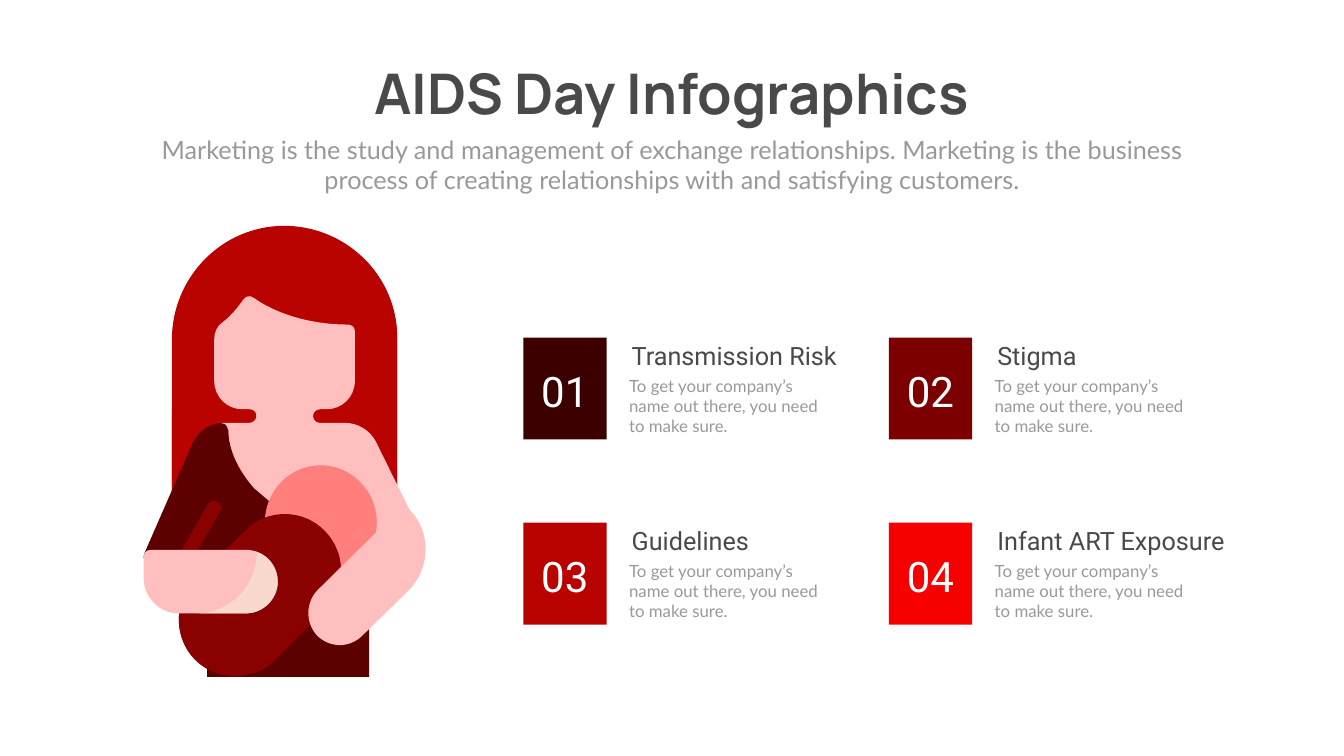
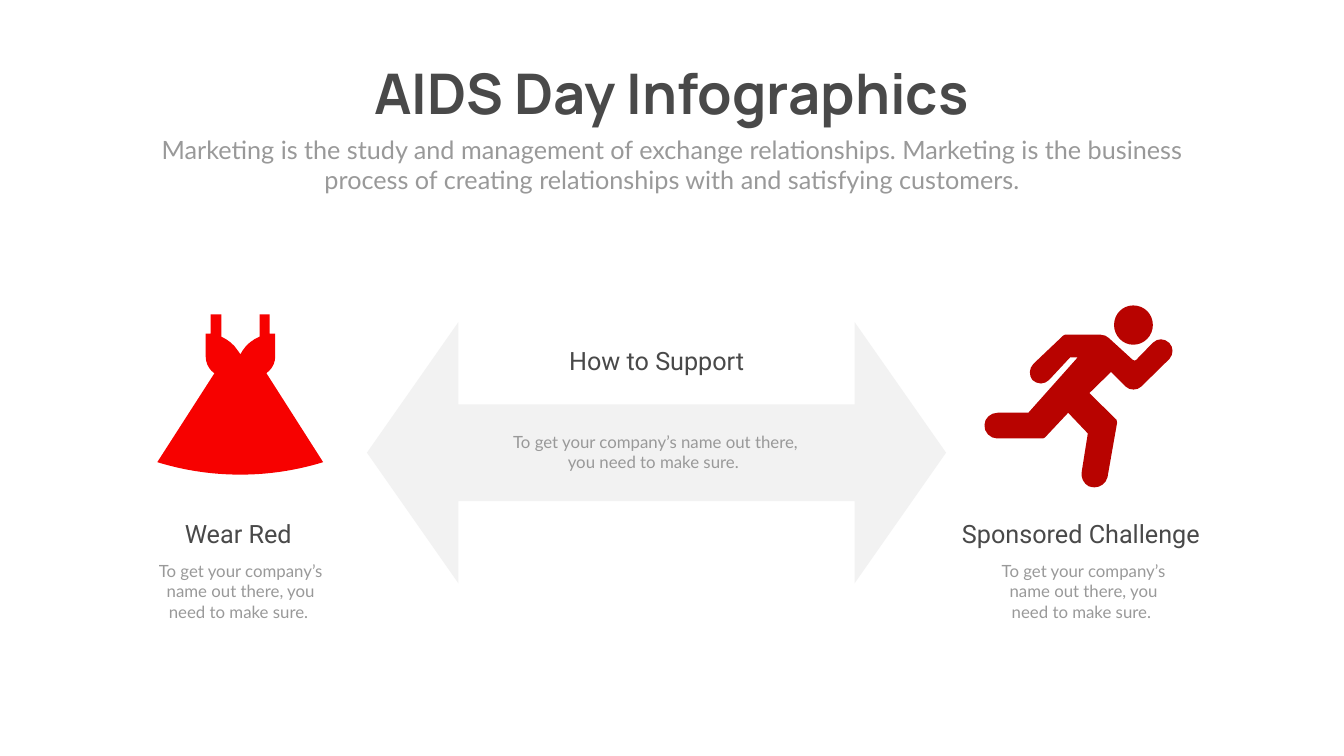
from dataclasses import dataclass
from typing import NamedTuple

from lxml import etree
from pptx import Presentation
from pptx import util as u
from pptx.dml import color
from pptx.enum import shapes, text
from pptx.oxml import ns

GRID = u.Cm(0.0254)  # one unit of the outline coordinates
BOUND_STEPS = 16  # samples per curve when measuring an outline


@dataclass(frozen=True)
class TextStyle:
    font: str
    size: int
    color: str
    bold: bool = False
    align: text.PP_ALIGN = text.PP_ALIGN.CENTER
    wrap: bool = True


@dataclass(frozen=True)
class Theme:
    dark: str = "494949"
    grey: str = "999999"
    white: str = "FFFFFF"
    pale: str = "F2F2F2"
    night: str = "3D0001"
    wine: str = "5C0100"
    maroon: str = "7C0000"
    garnet: str = "8A0200"
    crimson: str = "B80300"
    red: str = "F70100"
    coral: str = "FF7F7D"
    skin: str = "FFBFBE"
    cream: str = "F9D8CD"
    title: TextStyle = TextStyle("Manrope", 80, dark, bold=True, wrap=False)
    subtitle: TextStyle = TextStyle("Lato", 36, grey)
    heading: TextStyle = TextStyle("Roboto", 36, dark)
    body: TextStyle = TextStyle("Lato", 24, grey)
    left_heading: TextStyle = TextStyle("Roboto", 36, dark, align=text.PP_ALIGN.LEFT)
    left_body: TextStyle = TextStyle("Lato", 24, grey, align=text.PP_ALIGN.LEFT)
    number: TextStyle = TextStyle("Roboto", 60, white)


THEME = Theme()


class Box(NamedTuple):
    """Left, top, width and height in centimetres."""
    left: float
    top: float
    width: float
    height: float

    def lengths(self) -> list:
        return [u.Cm(value) for value in self]


class Part(NamedTuple):
    """A filled outline: segments split by ';', one point for a line, three for a curve."""
    fill: str
    outline: str


class Topic(NamedTuple):
    heading: str
    fill: str


class Label(NamedTuple):
    heading: str
    heading_box: Box
    body_box: Box


TITLE = "AIDS Day Infographics"
SUBTITLE = ("Marketing is the study and management of exchange relationships. Marketing is "
            "the business process of creating relationships with and satisfying customers.")
BODY = "To get your company’s name out there, you need to make sure."
CENTERED_BODY = BODY + " "

TOPICS = [
    Topic("Transmission Risk", THEME.night),
    Topic("Stigma", THEME.maroon),
    Topic("Guidelines", THEME.crimson),
    Topic("Infant ART Exposure", THEME.red),
]
TOPIC_COLUMNS = 2
TOPIC_LEFT, TOPIC_TOP = 26.37, 17.01
COLUMN_STEP, ROW_STEP = 18.42, 9.33

LABELS = [
    Label("Wear Red", Box(7.42, 25.98, 9.17, 1.8), Box(7.54, 28.15, 9.17, 3.33)),
    Label("Sponsored Challenge", Box(47.81, 25.98, 13.31, 1.8), Box(50.01, 28.15, 9.17, 3.33)),
    Label("How to Support", Box(26.97, 17.27, 12.24, 1.8), Box(25.48, 21.62, 15.09, 2.31)),
]

HAIR = Part(THEME.crimson, (
    "788,1007; 341,1007; 341,674; 341,551 439,449 563,448; 687,448 788,547 788,670; 788,672"))
HAIR_SHADE = Part(THEME.crimson, (
    "716,508; 717,518 718,529 718,539; 718,698 590,825 432,825; 400,825 370,821 341,811;"
    "341,1007; 788,1007; 788,672; 788,610 762,550 716,508"))
FACE_AND_CHEST = Part(THEME.skin, (
    "719,1183; 715,1183 712,1183 710,1180; 485,990; 485,990 485,989 484,989;"
    "483,986 425,929 425,854; 425,847 430,841 437,839; 440,839 442,839 445,839; 495,839;"
    "501,839 508,834 509,826; 509,818 504,812 496,812; 495,812; 480,812;"
    "450,812 425,787 425,756; 425,673; 425,660 430,647 442,639; 459,627 476,604 483,594;"
    "487,588 496,585 503,591; 504,591; 504,592 572,644 690,644; 698,644 704,650 704,657;"
    "704,756; 704,787 679,812 648,812; 635,812; 627,812 622,817 620,825;"
    "620,832 626,839 634,839; 635,839; 683,839; 711,839 734,854 746,877; 814,1015;"
    "817,1020 816,1027 812,1031; 732,1111; 732,1168; 732,1174 729,1179 725,1181;"
    "723,1183 721,1183 719,1183"))
DRESS_SIDE = Part(THEME.wine, (
    "732,1343; 411,1343; 411,1119; 299,1119; 295,1119 293,1119 290,1116;"
    "285,1112 284,1106 286,1099; 382,879; 383,879 383,879 383,877;"
    "394,856 413,842 437,839; 443,839 449,842 451,849; 453,850 453,853 453,854;"
    "453,914 500,964 504,969; 728,1159; 730,1162 732,1166 732,1170"))
BABY_HEAD = Part(THEME.coral, (
    "636,1151; 607,1151 578,1140 557,1117; 515,1073 515,1001 557,957;"
    "599,913 669,912 712,954; 713,955 713,956 715,957; 758,1001 758,1073 715,1117;"
    "695,1140 666,1151 636,1151"))
SLEEVE_FOLD = Part(THEME.garnet, (
    "369,1119; 361,1119 354,1113 354,1106; 354,1103 356,1100 357,1098; 412,1001;"
    "416,994 425,992 432,996; 438,999 441,1007 437,1014; 381,1112; 378,1116 374,1119 369,1119"))
BABY_HEAD_SHADE = Part(THEME.coral, (
    "721,964; 717,970 712,976 708,981; 661,1029 586,1035 534,994;"
    "518,1035 526,1084 557,1117; 599,1160 669,1162 712,1121; 713,1120 713,1118 715,1117;"
    "755,1075 758,1008 721,964"))
BLANKET = Part(THEME.garnet, (
    "467,1341; 437,1341 408,1330 387,1309; 344,1265 344,1195 387,1151; 487,1052;"
    "530,1009 601,1009 644,1053; 687,1096 687,1167 644,1210; 546,1309;"
    "525,1330 496,1341 467,1341"))
BLANKET_SHADE = Part(THEME.garnet, (
    "459,1231; 424,1231 388,1222 357,1206; 345,1268 383,1327 443,1339;"
    "480,1346 519,1336 546,1308; 644,1210; 674,1180 684,1134 670,1094;"
    "633,1177 551,1231 459,1231"))
RIGHT_ARM = Part(THEME.skin, (
    "674,1280; 658,1280 641,1273 629,1261; 606,1236 606,1197 629,1172; 792,1011;"
    "797,1006 806,1006 812,1011; 855,1054 855,1125 812,1170; 719,1261;"
    "707,1273 691,1280 674,1280"))
LEFT_ARM = Part(THEME.skin, (
    "488,1217; 354,1217; 316,1217 285,1185 285,1147; 285,1105; 285,1097 291,1091 299,1091;"
    "488,1091; 522,1091 551,1118 551,1154; 551,1189 522,1217 488,1217"))
CUFF = Part(THEME.cream, (
    "509,1095; 509,1096 509,1096 509,1098; 509,1163 455,1217 390,1217; 488,1217;"
    "522,1217 551,1188 551,1154; 551,1128 534,1103 509,1095"))
NECK = Part(THEME.skin, (
    "495,840; 635,840; 627,840 621,833 621,825; 621,817 627,812 635,812; 495,812;"
    "503,812 509,817 509,825; 509,833 503,840 495,840"))
MOTHER = [HAIR, HAIR_SHADE, FACE_AND_CHEST, DRESS_SIDE, BABY_HEAD, SLEEVE_FOLD,
          BABY_HEAD_SHADE, BLANKET, BLANKET_SHADE, RIGHT_ARM, LEFT_ARM, CUFF, NECK]

RUNNER_BODY = Part(THEME.crimson, (
    "2320,681; 2319,680; 2310,671 2296,671 2287,680; 2254,714; 2252,716 2250,716 2247,714;"
    "2200,671; 2196,667 2190,664 2183,664; 2113,664; 2112,664 2110,665 2109,666; 2050,722;"
    "2041,731 2041,745 2048,754; 2053,758 2058,761 2065,761; 2071,761 2077,758 2081,754;"
    "2123,709; 2138,709; 2040,819; 1979,819; 1965,819 1953,830 1953,843;"
    "1952,850 1955,857 1960,862; 1965,867 1971,870 1978,870; 2069,870;"
    "2070,870 2072,870 2073,868; 2119,819; 2158,860; 2146,935; 2143,947 2150,960 2160,965;"
    "2164,966 2168,967 2171,967; 2183,967 2194,959 2197,947; 2216,839;"
    "2217,837 2216,835 2215,833; 2161,780; 2204,738; 2233,767; 2241,775 2256,775 2264,767;"
    "2320,712; 2328,703 2328,689 2320,681"))
RUNNER_HEAD = Part(THEME.crimson, (
    "2248,684; 2270,684 2287,666 2287,645; 2287,623 2270,606 2248,606;"
    "2227,606 2210,623 2210,645; 2210,666 2227,684 2248,684"))
RUNNER = [RUNNER_BODY, RUNNER_HEAD]

BODICE = Part(THEME.red, (
    "535,662; 535,624; 515,624; 515,668; 501,674 489,683 481,696; 477,703; 472,696;"
    "464,683 452,674 439,668; 439,624; 418,624; 418,662; 415,662 412,662 408,662; 408,707;"
    "408,730 426,748 449,748; 504,748; 527,748 546,730 546,707; 546,662;"
    "542,662 538,662 535,662"))
SKIRT = Part(THEME.red, "525,735; 429,735; 312,917; 419,950 534,950 641,917")
RED_DRESS = [BODICE, SKIRT]


def paint(shape, fill: str) -> None:
    """Give the shape a flat fill with no line and no shadow."""
    shape.fill.solid()
    shape.fill.fore_color.rgb = color.RGBColor.from_string(fill)
    shape.line.fill.background()
    shape.shadow.inherit = False


def add_preset(slide, kind: shapes.MSO_SHAPE, box: Box, fill: str):
    shape = slide.shapes.add_shape(kind, *box.lengths())
    paint(shape, fill)
    return shape


def add_text(slide, content: str, box: Box, style: TextStyle):
    shape = slide.shapes.add_textbox(*box.lengths())
    frame = shape.text_frame
    frame.word_wrap = style.wrap
    frame.auto_size = text.MSO_AUTO_SIZE.SHAPE_TO_FIT_TEXT
    paragraph = frame.paragraphs[0]
    paragraph.text = content
    paragraph.alignment = style.align
    font = paragraph.font
    font.name = style.font
    font.size = u.Pt(style.size)
    font.bold = style.bold
    font.color.rgb = color.RGBColor.from_string(style.color)
    return shape


def read_segments(outline: str) -> list[list[tuple]]:
    return [[tuple(int(value) * GRID for value in pair.split(",")) for pair in segment.split()]
            for segment in outline.split(";")]


def sample(segments: list[list[tuple]]) -> list[tuple]:
    """Points along the outline, close enough to give its true bounds."""
    points = []
    for segment in segments:
        if len(segment) == 1:
            points += segment
            continue
        controls = [points[-1], *segment]
        for step in range(1, BOUND_STEPS + 1):
            t = step / BOUND_STEPS
            weights = ((1 - t) ** 3, 3 * t * (1 - t) ** 2, 3 * t * t * (1 - t), t ** 3)
            points.append(tuple(sum(weight * value for weight, value in zip(weights, axis))
                                for axis in zip(*controls)))
    return points


def set_curves(shape, segments: list[list[tuple]]) -> None:
    """Replace the sampled points of a freeform by its lines and Bézier curves."""
    geometry = shape.element.find(".//" + ns.qn("a:path"))
    for child in list(geometry):
        geometry.remove(child)
    for index, segment in enumerate(segments):
        tag = "a:moveTo" if index == 0 else "a:lnTo" if len(segment) == 1 else "a:cubicBezTo"
        command = etree.SubElement(geometry, ns.qn(tag))
        for x, y in segment:
            etree.SubElement(command, ns.qn("a:pt"), x=str(x - shape.left), y=str(y - shape.top))
    etree.SubElement(geometry, ns.qn("a:close"))


def add_part(slide, part: Part):
    segments = read_segments(part.outline)
    start, *rest = sample(segments)
    builder = slide.shapes.build_freeform(*start)
    builder.add_line_segments(rest, close=True)
    shape = builder.convert_to_shape()
    set_curves(shape, segments)
    paint(shape, part.fill)
    return shape


def add_figure(slide, parts: list[Part]) -> None:
    slide.shapes.add_group_shape([add_part(slide, part) for part in parts])


def add_title(slide) -> None:
    slide.shapes.add_group_shape([
        add_text(slide, TITLE, Box(17.35, 2.84, 32.99, 3.68), THEME.title),
        add_text(slide, SUBTITLE, Box(7.42, 6.63, 52.88, 3.33), THEME.subtitle),
    ])


def add_topic(slide, index: int, topic: Topic) -> None:
    row, column = divmod(index, TOPIC_COLUMNS)
    left = TOPIC_LEFT + column * COLUMN_STEP
    top = TOPIC_TOP + row * ROW_STEP
    slide.shapes.add_group_shape([
        add_text(slide, BODY, Box(left + 5.08, top + 1.8, 10.54, 3.33), THEME.left_body),
        add_text(slide, topic.heading, Box(left + 5.21, top, 12.24, 1.8), THEME.left_heading),
    ])
    add_preset(slide, shapes.MSO_SHAPE.RECTANGLE, Box(left, top, 4.2, 5.14), topic.fill)
    add_text(slide, f"{index + 1:02}", Box(left + 0.3, top + 1.28, 3.58, 2.82), THEME.number)


def build_topics_slide(slide) -> None:
    add_figure(slide, MOTHER)
    add_title(slide)
    for index, topic in enumerate(TOPICS):
        add_topic(slide, index, topic)


def build_support_slide(slide) -> None:
    add_title(slide)
    arrow = add_preset(slide, shapes.MSO_SHAPE.LEFT_RIGHT_ARROW,
                       Box(18.49, 16.23, 29.18, 13.17), THEME.pale)
    arrow.adjustments[0] = 0.37
    arrow.adjustments[1] = 0.35
    for label in LABELS:
        add_text(slide, CENTERED_BODY, label.body_box, THEME.body)
        add_text(slide, label.heading, label.heading_box, THEME.heading)
    add_figure(slide, RUNNER)
    add_figure(slide, RED_DRESS)


def main() -> None:
    presentation = Presentation()
    presentation.slide_width = u.Cm(67.72)
    presentation.slide_height = u.Cm(38.1)
    for build in (build_topics_slide, build_support_slide):
        build(presentation.slides.add_slide(presentation.slide_layouts[6]))
    presentation.save("out.pptx")


if __name__ == "__main__":
    main()
